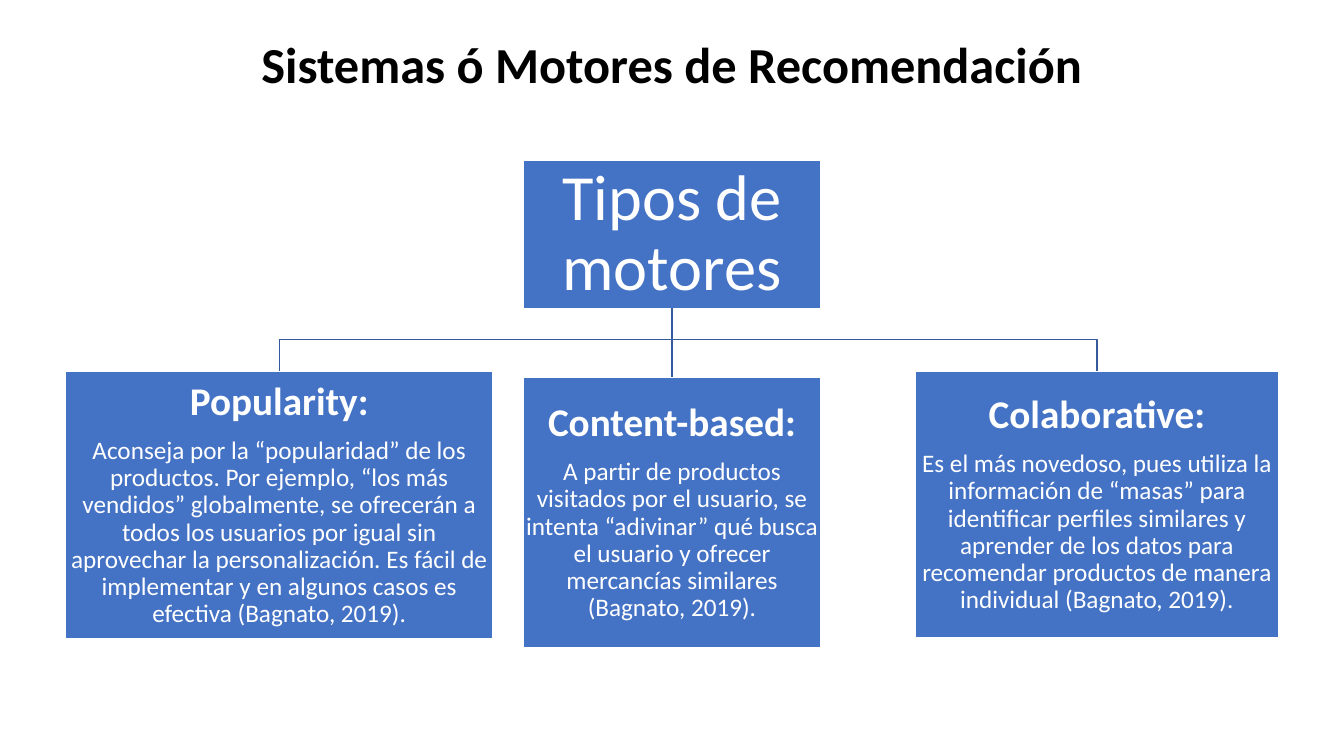
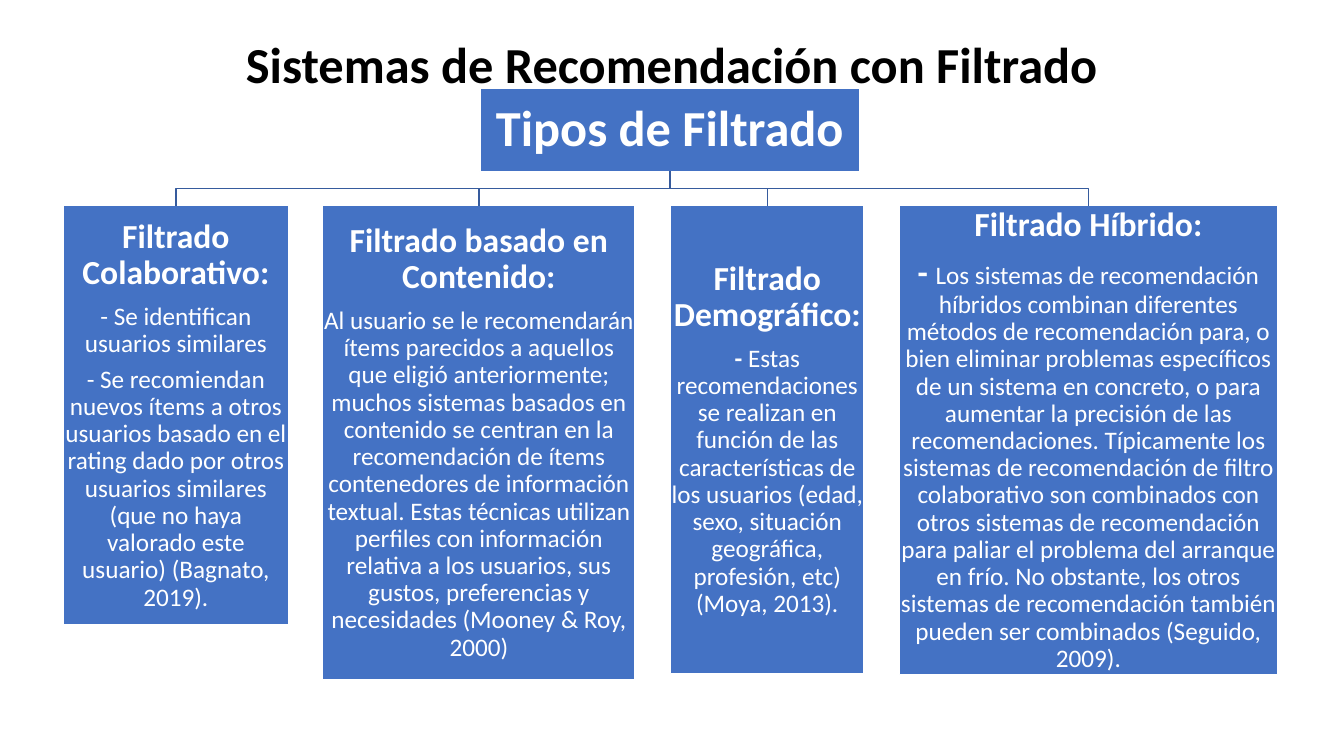
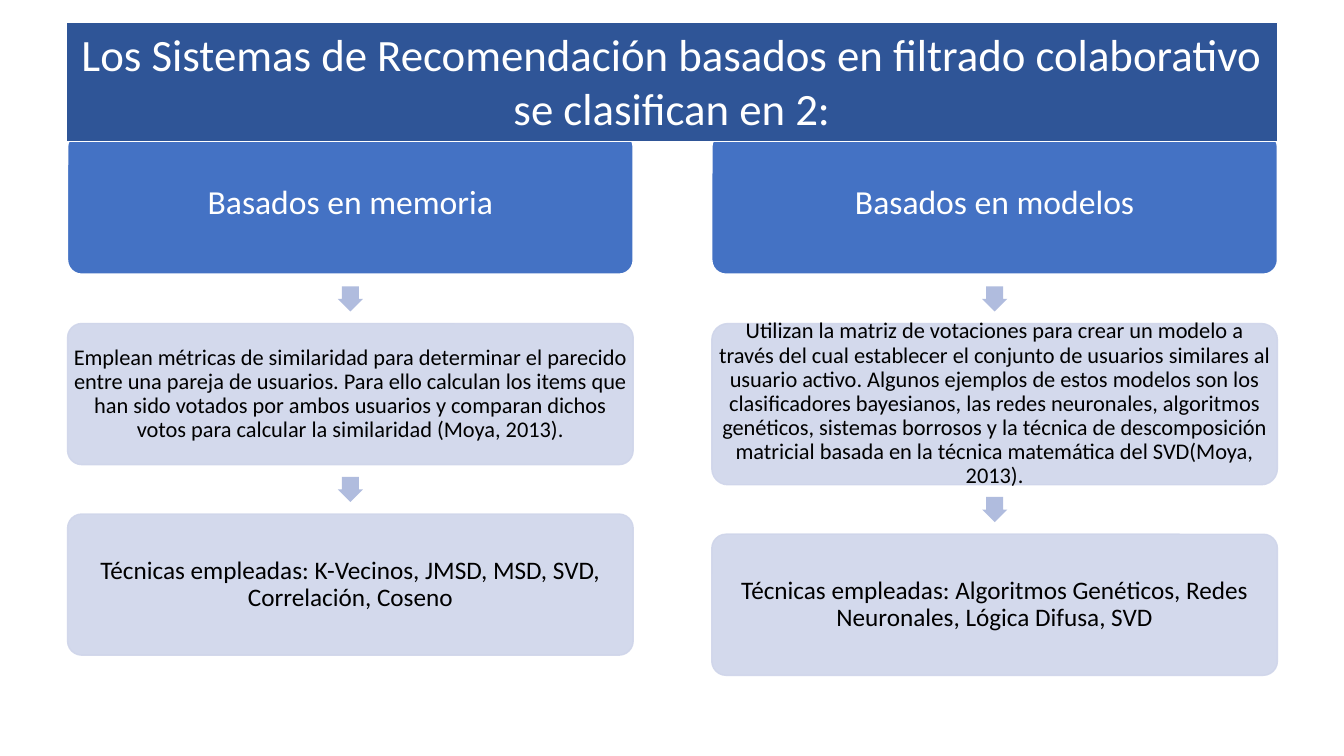
import pptx
import pptx.util
import pptx.dml.color
import pptx.enum.shapes
import pptx.enum.text
import lxml.etree

Inches, Pt = pptx.util.Inches, pptx.util.Pt
SHAPE = pptx.enum.shapes.MSO_SHAPE
ANCHOR = pptx.enum.text.MSO_ANCHOR
FONT = "Calibri"
BLUE, DARK_BLUE, LINE_BLUE = "4472C4", "2F5597", "365B9D"
PALE_BLUE, ARROW_BLUE = "CFD5EA", "B0BCDE"
WHITE, BLACK = "FFFFFF", "000000"
DRAWING = "http://schemas.openxmlformats.org/drawingml/2006/main"


def paint(fill, colour, opacity=100):
    """Make a fill solid, in a hex colour and an opacity in percent."""
    fill.solid()
    fill.fore_color.rgb = pptx.dml.color.RGBColor.from_string(colour)
    if opacity < 100:
        solid = fill._xPr.find(f"{{{DRAWING}}}solidFill")
        lxml.etree.SubElement(solid[0], f"{{{DRAWING}}}alpha", val=str(opacity * 1000))


def add_box(page, kind, place, paras=(), fill=None, line=None, weight=1, opacity=100,
            ink=WHITE, inset=None, anchor=ANCHOR.MIDDLE, spacing=0.9, after=0.35):
    """Add a shape, or a text box if kind is None; paras are lists of (text, size, bold)."""
    place = [Inches(length) for length in place]
    if kind is None:
        box = page.shapes.add_textbox(*place)
    else:
        box = page.shapes.add_shape(kind, *place)
        box.shadow.inherit = False
        paint(box.fill, fill, opacity)
        if line:
            paint(box.line.fill, line, opacity)
            box.line.width = Pt(weight)
        else:
            box.line.fill.background()
    frame = box.text_frame
    layout = {"word_wrap": True, "vertical_anchor": anchor}
    if inset is None:
        layout["auto_size"] = pptx.enum.text.MSO_AUTO_SIZE.SHAPE_TO_FIT_TEXT if paras else None
    else:
        for side in ("left", "right", "top", "bottom"):
            layout[f"margin_{side}"] = Inches(inset)
    for name, value in layout.items():
        setattr(frame, name, value)
    for number, spans in enumerate(paras):
        para = frame.add_paragraph() if number else frame.paragraphs[0]
        para.alignment = pptx.enum.text.PP_ALIGN.CENTER
        para.line_spacing = spacing
        para.space_after = Pt(after * spans[0][1])
        for text, size, bold in spans:
            span = para.add_run()
            span.text = text
            for name, value in {"name": FONT, "size": Pt(size), "bold": bold}.items():
                setattr(span.font, name, value)
            paint(span.font.fill, ink)
    return box


deck = pptx.Presentation()
deck.slide_width, deck.slide_height = Inches(13.33), Inches(7.5)
blank = deck.slide_layouts[6]

# Slides 1 and 2: a title over a tree of one root and its branches
trees = [
    {
        "title": "Sistemas ó Motores de Recomendación",
        "root": ((5.19, 1.59, 2.95, 1.47), ("Tipos de motores", 46, False)),
        "branches": [
            ((0.65, 3.68, 4.24, 2.66), [
                [("Popularity:", 28, True)],
                [("Aconseja por la “popularidad” de los productos. Por ejemplo, “los más "
                  "vendidos” globalmente, se ofrecerán a todos los usuarios por igual sin "
                  "aprovechar la personalización. Es fácil de implementar y en algunos "
                  "casos es efectiva (Bagnato, 2019).", 18, False)]]),
            ((5.19, 3.74, 2.95, 2.69), [
                [("Content-based:", 28, True)],
                [("A partir de productos visitados por el usuario, se intenta “adivinar” "
                  "qué busca el usuario y ofrecer mercancías similares "
                  "(Bagnato, 2019).", 18, False)]]),
            ((9.08, 3.68, 3.6, 2.65), [
                [("Colaborative:", 28, True)],
                [("Es el más novedoso, pues utiliza la información de “masas” para "
                  "identificar perfiles similares y aprender de los datos para recomendar "
                  "productos de manera individual (Bagnato, 2019).", 18, False)]]),
        ],
    },
    {
        "title": "Sistemas de Recomendación con Filtrado",
        "root": ((4.76, 0.88, 3.77, 0.82), ("Tipos de Filtrado", 36, True)),
        "branches": [
            ((0.63, 2.04, 2.23, 4.16), [
                [("Filtrado Colaborativo:", 24, True)],
                [("- Se identifican usuarios similares", 18, False)],
                [("- Se recomiendan nuevos ítems a otros usuarios basado en el rating dado "
                  "por otros usuarios similares (que no haya valorado este usuario) "
                  "(Bagnato, 2019).", 18, False)]]),
            ((3.2, 2.04, 3.1, 4.7), [
                [("Filtrado basado en Contenido:", 24, True)],
                [("Al usuario se le recomendarán ítems parecidos a aquellos que eligió "
                  "anteriormente; muchos sistemas basados en contenido se centran en la "
                  "recomendación de ítems contenedores de información textual. Estas "
                  "técnicas utilizan perfiles con información relativa a los usuarios, sus "
                  "gustos, preferencias y necesidades (Mooney & Roy, 2000)", 18, False)]]),
            ((6.65, 2.04, 1.92, 4.64), [
                [("Filtrado Demográfico:", 24, True)],
                [("- ", 18, True),
                 ("Estas recomendaciones se realizan en función de las características de "
                  "los usuarios (edad, sexo, situación geográfica, profesión, etc) "
                  "(Moya, 2013).", 18, False)]]),
            ((8.92, 2.04, 3.75, 4.65), [
                [("Filtrado Híbrido:", 24, True)],
                [("- ", 24, True),
                 ("Los sistemas de recomendación híbridos combinan diferentes métodos de "
                  "recomendación para, o bien eliminar problemas específicos de un sistema "
                  "en concreto, o para aumentar la precisión de las recomendaciones. "
                  "Típicamente los sistemas de recomendación de filtro colaborativo son "
                  "combinados con otros sistemas de recomendación para paliar el problema "
                  "del arranque en frío. No obstante, los otros sistemas de recomendación "
                  "también pueden ser combinados (Seguido, 2009).", 18, False)]]),
        ],
    },
]

for tree in trees:
    page = deck.slides.add_slide(blank)
    place, heading = tree["root"]
    root = add_box(page, SHAPE.RECTANGLE, place, [[heading]], BLUE, WHITE, inset=0.03)
    root_x, root_y = root.left + root.width // 2, root.top + root.height
    for place, paras in tree["branches"]:
        branch = add_box(page, SHAPE.RECTANGLE, place, paras, BLUE, WHITE, inset=0.01)
        branch_x = branch.left + branch.width // 2
        if branch_x == root_x:
            link = page.shapes.add_connector(
                pptx.enum.shapes.MSO_CONNECTOR.STRAIGHT, root_x, root_y, branch_x, branch.top)
            link.begin_connect(root, 2)
            link.end_connect(branch, 0)
            lxml.etree.SubElement(link._element.spPr, f"{{{DRAWING}}}effectLst")
        else:
            bend_y = (root_y + branch.top) // 2
            outline = page.shapes.build_freeform(root_x, root_y)
            outline.add_line_segments(
                [(root_x, bend_y), (branch_x, bend_y), (branch_x, branch.top)], close=False)
            link = outline.convert_to_shape()
            link.fill.background()
            link.shadow.inherit = False
        paint(link.line.fill, LINE_BLUE)
        link.line.width = Pt(1)
    add_box(page, None, (2.22, 0.28, 8.89, 0.71), [[(tree["title"], 36, True)]],
            ink=BLACK, anchor=ANCHOR.TOP, spacing=1, after=0)

# Slide 3: two columns of boxes joined by arrows, under a banner
ARROW, ARROW_GAP, COLUMN_WIDTH = 0.25, 0.12, 5.61
columns = [
    (0.67, [
        ("Basados en memoria", 24, 1.4),
        ("Emplean métricas de similaridad para determinar el parecido entre una pareja de "
         "usuarios. Para ello calculan los items que han sido votados por ambos usuarios y "
         "comparan dichos votos para calcular la similaridad (Moya, 2013).", 16, 1.4),
        ("Técnicas empleadas: K-Vecinos, JMSD, MSD, SVD, Correlación, Coseno", 18, 1.4)]),
    (7.06, [
        ("Basados en modelos", 24, 1.4),
        ("Utilizan la matriz de votaciones para crear un modelo a través del cual establecer "
         "el conjunto de usuarios similares al usuario activo. Algunos ejemplos de estos "
         "modelos son los clasiﬁcadores bayesianos, las redes neuronales, algoritmos "
         "genéticos, sistemas borrosos y la técnica de descomposición matricial basada en la "
         "técnica matemática del SVD(Moya, 2013).", 16, 1.6),
        ("Técnicas empleadas: Algoritmos Genéticos, Redes Neuronales, Lógica Difusa, SVD",
         18, 1.4)]),
]
head_style = {"fill": BLUE, "line": WHITE}
step_style = {"fill": PALE_BLUE, "line": PALE_BLUE, "opacity": 90, "ink": BLACK}

page = deck.slides.add_slide(blank)
for left, steps in columns:
    top = 1.32
    for number, (text, size, height) in enumerate(steps):
        if number:
            arrow = add_box(page, SHAPE.DOWN_ARROW,
                            (left + (COLUMN_WIDTH - ARROW) / 2, top + ARROW_GAP, ARROW, ARROW),
                            fill=ARROW_BLUE)
            arrow.adjustments[0], arrow.adjustments[1] = 0.67, 0.5
            top += ARROW + 2 * ARROW_GAP
        step = add_box(page, SHAPE.ROUNDED_RECTANGLE, (left, top, COLUMN_WIDTH, height),
                       [[(text, size, False)]], inset=0.02,
                       **(step_style if number else head_style))
        step.adjustments[0] = 0.1
        top += height
add_box(page, SHAPE.RECTANGLE, (0.66, 0.22, 12.01, 1.18),
        [[("Los Sistemas de Recomendación basados en filtrado colaborativo "
           "se clasifican en 2:", 32, False)]],
        DARK_BLUE, WHITE, weight=0.75, anchor=ANCHOR.TOP, spacing=1, after=0)

deck.save("out.pptx")
